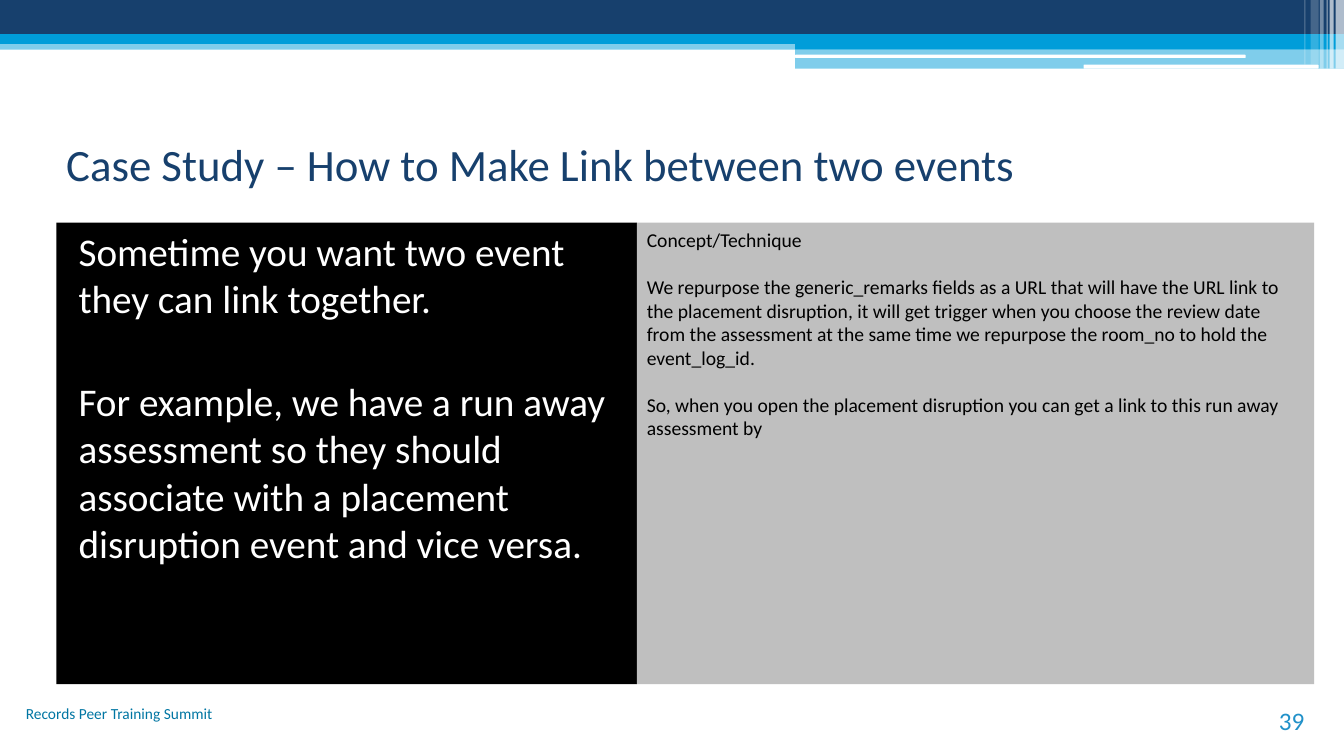
from dataclasses import dataclass

from lxml.etree import SubElement
from pptx import Presentation
from pptx.dml.color import RGBColor
from pptx.enum.shapes import MSO_SHAPE as SHAPE
from pptx.enum.text import MSO_ANCHOR as ANCHOR, PP_ALIGN as ALIGN
from pptx.oxml.ns import qn
from pptx.util import Cm, Pt


@dataclass(frozen=True)
class Theme:
    """Colours, font and type sizes of the deck."""
    font: str = "Calibri"
    navy: str = "17406D"
    cyan: str = "009DD9"
    white: str = "FFFFFF"
    black: str = "000000"
    grey: str = "BFBFBF"
    footer: str = "0076A3"
    number: str = "2191C9"
    title_size: int = 32
    case_size: int = 28
    concept_size: int = 14
    footer_size: int = 11
    number_size: int = 18


T = Theme()
WIDTH, HEIGHT = 33.87, 19.05


def add_block(s, box, color, alpha=100, kind=SHAPE.RECTANGLE):
    """Add a borderless filled shape with the given opacity in percent."""
    sp = s.shapes.add_shape(kind, *map(Cm, box))
    sp.shadow.inherit = False
    sp.line.fill.background()
    sp.fill.solid()
    sp.fill.fore_color.rgb = RGBColor.from_string(color)
    if alpha < 100:
        clr = sp.fill._xPr.find(qn("a:solidFill"))[0]
        SubElement(clr, qn("a:alpha"), val=str(alpha * 1000))
    return sp


def write(sp, paragraphs, size, color, para=None, gap=0, anchor=ANCHOR.TOP):
    """Write paragraphs in one style, with a gap in points between them."""
    tf = sp.text_frame
    for name, value in {"word_wrap": True, "vertical_anchor": anchor}.items():
        setattr(tf, name, value)
    font = {"name": T.font, "size": Pt(size)}
    for i, text in enumerate(paragraphs):
        p = tf.paragraphs[0] if i == 0 else tf.add_paragraph()
        fmt = {"alignment": ALIGN.LEFT, "space_before": Pt(gap if i else 0)}
        for name, value in {**fmt, **(para or {})}.items():
            setattr(p, name, value)
        r = p.add_run()
        r.text = text
        for name, value in font.items():
            setattr(r.font, name, value)
        r.font.color.rgb = RGBColor.from_string(color)


def add_text(s, box, text, size, color, **style):
    """Add a one-paragraph text box."""
    write(s.shapes.add_textbox(*map(Cm, box)), [text], size, color, **style)


def add_header(s, box):
    """Draw the layered bands and the light stripes at the right edge."""
    x, y, w, h = box
    half = x + 20.04
    tail = x + w - half
    add_block(s, (x, y + 1.02, w, 0.23), T.cyan, 50)
    add_block(s, (x, y, w, 0.86), T.navy)
    add_block(s, (x, y + 0.86, w, 0.25), T.cyan)
    add_block(s, (half, y + 0.99, tail, 0.25), T.cyan)
    add_block(s, (half, y + 1.23, tail, h - 1.23), T.cyan, 50)
    for left, top, width, height in ((half, 1.38, 11.35, 0.08),
                                     (x + 27.31, 1.63, 5.92, 0.1)):
        add_block(s, (left, y + top, width, height), T.white,
                  kind=SHAPE.ROUNDED_RECTANGLE)
    stripes = ((0.21, 0.21, h, 65), (0.36, 0.1, h, 65), (0.44, 0.03, h, 60),
               (0.61, 0.1, h, 40), (0.84, 0.2, 1.63, 20), (1, 0.03, 1.63, 30))
    for inset, width, height, alpha in stripes:
        add_block(s, (x + w - inset, y, width, height), T.white, alpha)


def add_case(s, box):
    """Describe the case on the black panel."""
    write(add_block(s, box, T.black), [
        "Sometime you want two event they can link together.",
        "For example, we have a run away assessment so they should associate "
        "with a placement disruption event and vice versa.",
    ], T.case_size, T.white, gap=40)
    sp = s.shapes[-1]
    sp.text_frame.margin_left = Cm(0.56)
    sp.text_frame.paragraphs[0].space_before = Pt(3)


def add_concept(s, box):
    """Explain the technique on the grey panel."""
    write(add_block(s, box, T.grey), [
        "Concept/Technique",
        "We repurpose the generic_remarks fields as a URL that will have the "
        "URL link to the placement disruption, it will get trigger when you "
        "choose the review date from the assessment at the same time we "
        "repurpose the room_no to hold the event_log_id.",
        "So, when you open the placement disruption you can get a link to "
        "this run away assessment by",
    ], T.concept_size, T.black, gap=17)


def add_footer(s, box):
    """Place the event name at the left and the slide number at the right."""
    x, y, w, h = box
    right = {"alignment": ALIGN.RIGHT}
    add_text(s, (x, y, 5.61, h), "Records Peer Training Summit",
             T.footer_size, T.footer, para=right)
    add_text(s, (x + w - 2.82, y + 0.02, 2.82, 1.02), "39",
             T.number_size, T.number, para=right, anchor=ANCHOR.BOTTOM)


def main():
    """Build the case study slide."""
    prs = Presentation()
    prs.slide_width, prs.slide_height = Cm(WIDTH), Cm(HEIGHT)
    s = prs.slides.add_slide(prs.slide_layouts[6])
    left, top, split, right, height = 1.42, 5.61, 16.05, 33.12, 11.63
    add_header(s, (0, 0, WIDTH, 1.73))
    add_text(s, (left, 2.64, 30.05, 2.97),
             "Case Study – How to Make Link between two events",
             T.title_size, T.navy, anchor=ANCHOR.MIDDLE)
    add_case(s, (left, top, split - left, height))
    add_concept(s, (split, top, right - split, height))
    add_footer(s, (0, 17.63, right, 1.27))
    prs.save("out.pptx")


if __name__ == "__main__":
    main()
